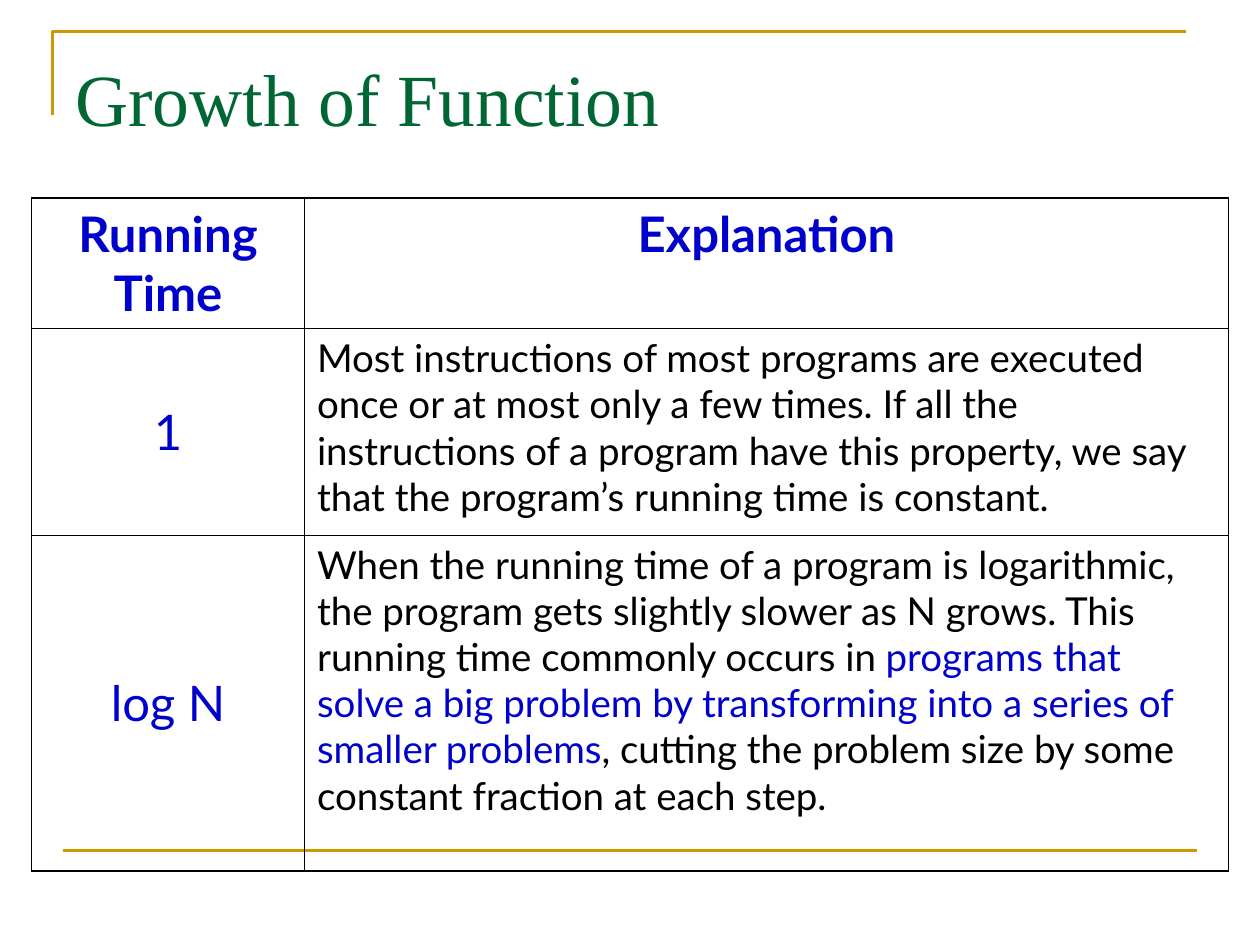
from lxml import etree
from pptx import Presentation
from pptx.dml.color import RGBColor
from pptx.enum import shapes, text
from pptx.oxml import ns
from pptx.util import Pt

GOLD = RGBColor(0xCC, 0x99, 0x00)
GREEN = RGBColor(0x00, 0x66, 0x33)
BLUE = RGBColor(0x00, 0x00, 0xCC)
BLACK = RGBColor(0x00, 0x00, 0x00)
OUTER, INNER = Pt(1.08), Pt(0.45)


def add_run(paragraph, words, font_name, size, color, bold=False):
    run = paragraph.add_run()
    run.text = words
    run.font.name = font_name
    run.font.size = Pt(size)
    run.font.color.rgb = color
    run.font.bold = bold


def add_border(cell, side, width):
    """Draw one cell edge; side is L, R, T or B, added in that order."""
    edge = etree.SubElement(cell._tc.get_or_add_tcPr(), ns.qn(f"a:ln{side}"), w=str(int(width)))
    fill = etree.SubElement(edge, ns.qn("a:solidFill"))
    etree.SubElement(fill, ns.qn("a:srgbClr"), val=str(BLACK))


deck = Presentation()
deck.slide_width, deck.slide_height = Pt(720), Pt(540)
slide = deck.slides.add_slide(deck.slide_layouts[6])

# Gold rules framing the slide
outline = slide.shapes.build_freeform(Pt(30), Pt(66))
outline.add_line_segments([(Pt(30), Pt(18)), (Pt(678), Pt(18))], close=False)
corner = outline.convert_to_shape()
corner.shadow.inherit = False
corner.fill.background()

footer_rule = slide.shapes.add_connector(
    shapes.MSO_CONNECTOR.STRAIGHT, Pt(36), Pt(486), Pt(684), Pt(486))
etree.SubElement(footer_rule._element.spPr, ns.qn("a:effectLst"))

for rule in (corner, footer_rule):
    rule.line.color.rgb = GOLD
    rule.line.width = Pt(1.5)

# Title
title = slide.shapes.add_textbox(Pt(36), Pt(24), Pt(654), Pt(60)).text_frame
title.word_wrap = True
title.vertical_anchor = text.MSO_ANCHOR.BOTTOM
add_run(title.paragraphs[0], "Growth of Function", "Times New Roman", 42, GREEN)

# Running times: each cell is a list of (words, colour) runs
rows = [
    ([("Running Time", BLUE)], [("Explanation", BLUE)]),
    ([("1", BLUE)],
     [("Most instructions of most programs are executed once or at most only a few times. "
       "If all the instructions of a program have this property, we say that the program’s "
       "running time is constant.", BLACK)]),
    ([("log N", BLUE)],
     [("When the running time of a program is logarithmic, the program gets slightly slower "
       "as N grows. This running time commonly occurs in ", BLACK),
      ("programs that solve a big problem by transforming into a series of smaller problems",
       BLUE),
      (", cutting the problem size by some constant fraction at each step.", BLACK)]),
]
column_widths = [156, 528]
row_heights = [74, 118, 192]

growth = slide.shapes.add_table(
    len(rows), len(column_widths), Pt(18), Pt(113.25),
    Pt(sum(column_widths)), Pt(sum(row_heights))).table
growth.first_row = growth.horz_banding = False
for column, width in zip(growth.columns, column_widths):
    column.width = Pt(width)
for row, height in zip(growth.rows, row_heights):
    row.height = Pt(height)

last_row, last_column = len(rows) - 1, len(column_widths) - 1
for r, row_content in enumerate(rows):
    for c, runs in enumerate(row_content):
        cell = growth.cell(r, c)
        is_header, is_explanation = r == 0, r > 0 and c == 1
        on_edge = {"L": c == 0, "R": c == last_column, "T": r == 0, "B": r == last_row}
        for side, outside in on_edge.items():
            add_border(cell, side, OUTER if outside else INNER)
        cell.fill.background()
        centred_vertically = not is_header and c == 0
        cell.vertical_anchor = (
            text.MSO_ANCHOR.MIDDLE if centred_vertically else text.MSO_ANCHOR.TOP)
        paragraph = cell.text_frame.paragraphs[0]
        paragraph.alignment = text.PP_ALIGN.LEFT if is_explanation else text.PP_ALIGN.CENTER
        for words, color in runs:
            add_run(paragraph, words, "Lato", 22 if is_explanation else 28, color, is_header)

deck.save("out.pptx")
